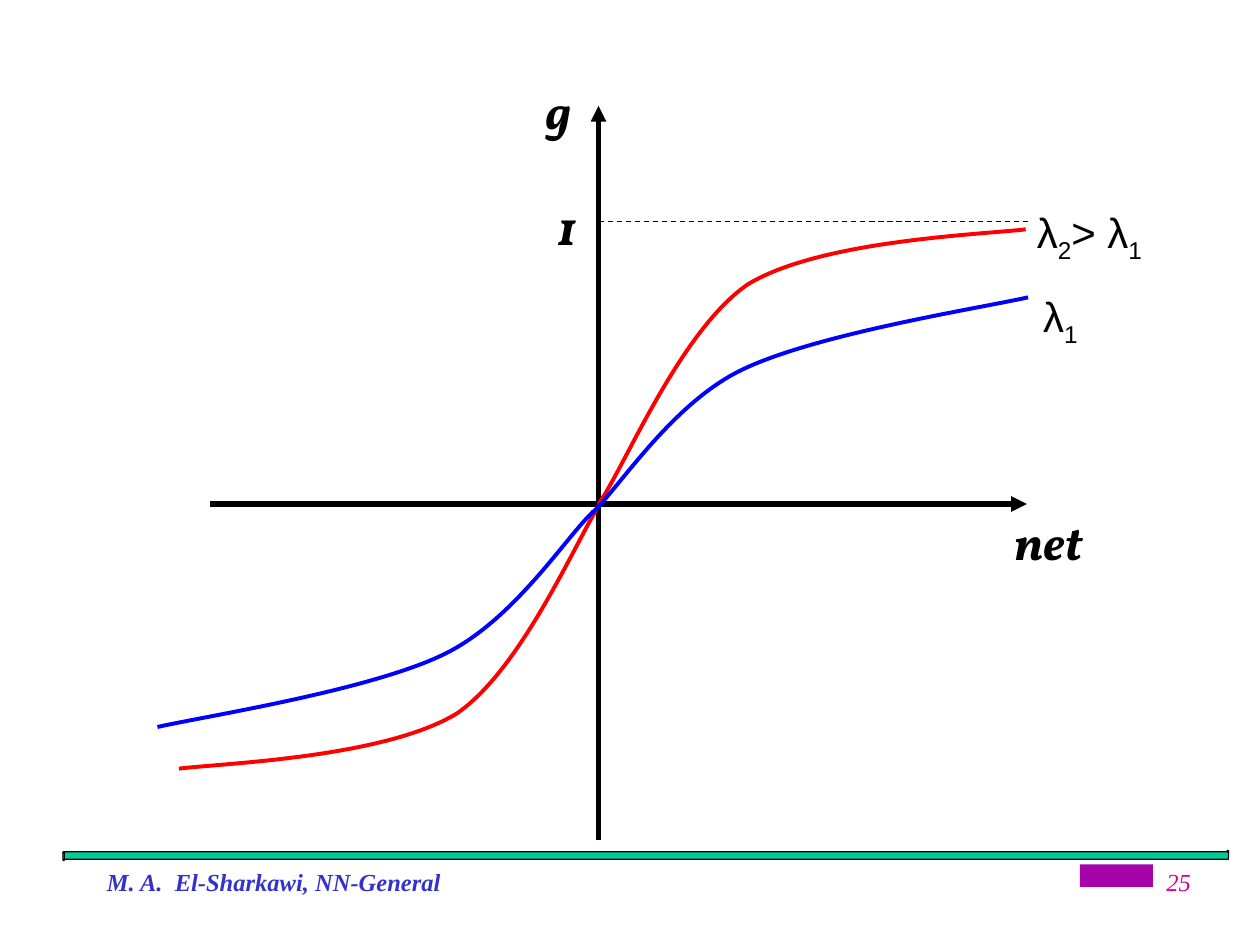
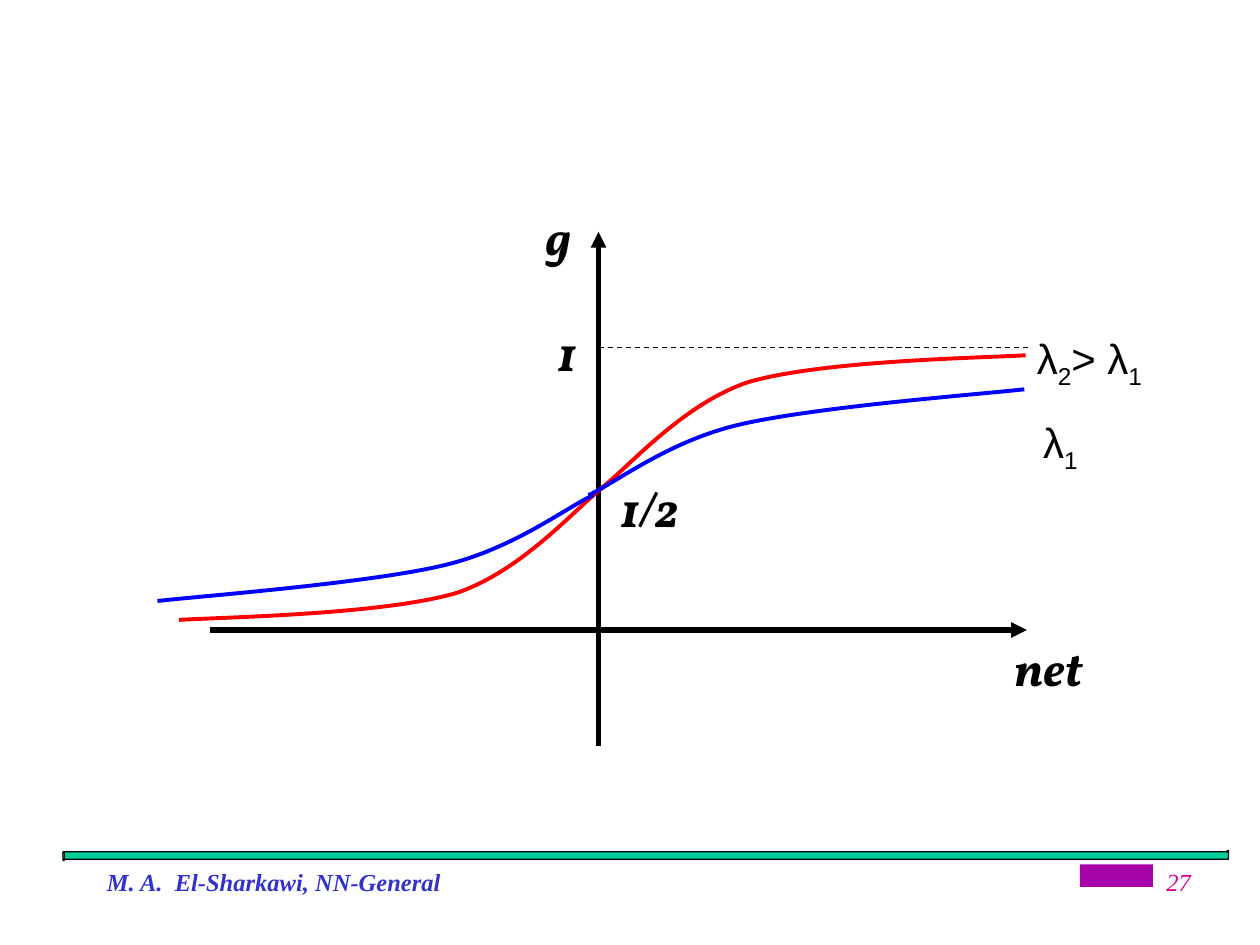
from dataclasses import dataclass

from lxml.etree import SubElement
from pptx import Presentation
from pptx.dml.color import RGBColor
from pptx.enum.dml import MSO_LINE
from pptx.enum.shapes import MSO_CONNECTOR, MSO_SHAPE
from pptx.enum.text import MSO_AUTO_SIZE, PP_ALIGN
from pptx.oxml.ns import qn
from pptx.util import Pt

PX = 9144  # EMU in one px, 100 px to the inch


@dataclass(frozen=True)
class Theme:
    black: str = "000000"
    band: str = "00CC99"
    mark: str = "A603AB"
    author: str = "3333CC"
    number: str = "D60093"
    steep: str = "FF0000"
    gentle: str = "0000FF"
    serif: str = "Times New Roman"
    sans: str = "Arial"
    axis_font: str = "Vollkorn"
    footer_size: int = 14
    label_size: int = 24
    axis_size: int = 28
    thin: float = 0.75
    curve: float = 2.25
    axis: float = 3


THEME = Theme()

# Bezier points of a right-hand branch: shares of its width from the outer
# end and of its height from the top.
STEEP = [(0, 0), (.11, .02), (.48, .04), (.65, .2), (.81, .37), (.94, .87), (1, 1)]
GENTLE = [(0, 0), (.11, .05), (.49, .17), (.66, .34), (.82, .5), (.94, .89), (1, 1)]


@dataclass(frozen=True)
class Plot:
    """A sigmoid plot; branch boxes and labels are relative to its top."""
    number: str
    top: int
    axis_bottom: int
    steep_boxes: tuple
    gentle_boxes: tuple
    extra_labels: tuple = ()


PLOTS = (
    Plot("25", 0, 667,
         ((475, 182, 339, 218), (142, 392, 339, 218)),
         ((470, 236, 346, 171), (125, 406, 346, 171))),
    Plot("27", 100, 492,
         ((475, 182, 339, 107), (142, 285, 339, 107)),
         ((467, 209, 346, 84), (125, 293, 346, 84)),
         (("1/2", (432, 275, 124, 56)),)),
)


def scaled(lengths):
    return [PX * length for length in lengths]


def style_line(line, color, width):
    line.color.rgb = RGBColor.from_string(color)
    line.width = Pt(width)


def add_text(page, box, runs, font, size, color, wrap=True, bold=False, italic=False):
    """Add one paragraph made of (text, is_subscript) runs and return it."""
    frame = page.shapes.add_textbox(*scaled(box)).text_frame
    frame.word_wrap = wrap
    paragraph = frame.paragraphs[0]
    for text, subscript in runs:
        span = paragraph.add_run()
        span.text = text
        if subscript:
            span.font._element.set("baseline", "-25000")
    # Some renderers do not pass the paragraph font on to its runs.
    for target in (paragraph, *paragraph.runs):
        target.font.name = font
        target.font.size = Pt(size)
        target.font.bold = bold
        target.font.italic = italic
        target.font.color.rgb = RGBColor.from_string(color)
    return paragraph


def add_axis_label(page, text, box):
    paragraph = add_text(page, box, [(text, False)], THEME.axis_font, THEME.axis_size,
                         THEME.black, wrap=False, bold=True, italic=True)
    paragraph.space_before = Pt(7)
    properties = paragraph._element.get_or_add_pPr()
    properties.set("marL", str(50 * PX))
    properties.set("indent", "0")
    paragraph._parent.auto_size = MSO_AUTO_SIZE.SHAPE_TO_FIT_TEXT


def add_curve_label(page, runs, box):
    paragraph = add_text(page, box, runs, THEME.sans, THEME.label_size,
                         THEME.black, wrap=False)
    paragraph._parent.auto_size = MSO_AUTO_SIZE.SHAPE_TO_FIT_TEXT


def add_line(page, start, end, width, arrow=False):
    connector = page.shapes.add_connector(MSO_CONNECTOR.STRAIGHT, *scaled(start + end))
    style_line(connector.line, THEME.black, width)
    SubElement(connector._element.spPr, qn("a:effectLst"))
    if arrow:
        SubElement(connector.line._get_or_add_ln(), qn("a:tailEnd"), type="triangle")
    return connector


def add_filled_shape(page, preset, box, color):
    shape = page.shapes.add_shape(preset, *scaled(box))
    shape.shadow.inherit = False
    shape.fill.solid()
    shape.fill.fore_color.rgb = RGBColor.from_string(color)
    return shape


def add_branch(page, box, shares, color, mirrored):
    """Draw half a sigmoid in box; the left half is the right one turned round."""
    left, top, width, height = box
    if mirrored:
        points = [(left + x * width, top + height - y * height) for x, y in shares]
    else:
        points = [(left + width - x * width, top + y * height) for x, y in shares]
    points = [(round(x * PX), round(y * PX)) for x, y in points]
    builder = page.shapes.build_freeform(*points[0])
    builder.add_line_segments(points[1:], close=False)
    branch = builder.convert_to_shape()
    branch.shadow.inherit = False
    branch.fill.background()
    style_line(branch.line, color, THEME.curve)
    segments = list(branch._element.iter(qn("a:lnTo")))
    outline = segments[0].getparent()
    for first in range(0, len(segments), 3):
        bezier = SubElement(outline, qn("a:cubicBezTo"))
        for segment in segments[first:first + 3]:
            bezier.append(segment[0])
            outline.remove(segment)


def add_footer(page, number):
    band = add_filled_shape(page, MSO_SHAPE.HORIZONTAL_SCROLL, (50, 675, 925, 8),
                            THEME.band)
    style_line(band.line, THEME.black, THEME.thin)
    mark = add_filled_shape(page, MSO_SHAPE.RECTANGLE, (857, 686, 58, 18), THEME.mark)
    mark.line.fill.background()

    add_text(page, (75, 683, 583, 50), [("M. A.  El-Sharkawi, NN-General", False)],
             THEME.serif, THEME.footer_size, THEME.author, bold=True, italic=True)
    page_number = add_text(page, (717, 683, 238, 50), [(number, False)], THEME.serif,
                           THEME.footer_size, THEME.number, italic=True)
    page_number.alignment = PP_ALIGN.RIGHT


def add_plot(page, plot):
    def placed(box):
        left, top, width, height = box
        return left, plot.top + top, width, height

    origin_x, origin_y = 475, plot.top + 400
    add_line(page, (167, origin_y), (815, origin_y), THEME.axis, arrow=True)
    add_line(page, (origin_x, plot.top + plot.axis_bottom),
             (origin_x, plot.top + 84), THEME.axis, arrow=True)
    limit = add_line(page, (origin_x, plot.top + 176), (817, plot.top + 176), THEME.thin)
    limit.line.dash_style = MSO_LINE.DASH

    for boxes, shares, color in ((plot.steep_boxes, STEEP, THEME.steep),
                                 (plot.gentle_boxes, GENTLE, THEME.gentle)):
        for box, mirrored in zip(boxes, (False, True)):
            add_branch(page, placed(box), shares, color, mirrored)

    axis_labels = (("net", (745, 401, 133, 56)), ("g", (373, 59, 92, 56)),
                   ("1", (382, 151, 92, 56)))
    for text, box in axis_labels + plot.extra_labels:
        add_axis_label(page, text, placed(box))
    add_curve_label(page, [("λ", False), ("1", True)], placed((818, 226, 48, 56)))
    add_curve_label(page, [("λ", False), ("2", True), ("> λ", False), ("1", True)],
                    placed((813, 159, 112, 56)))


def main():
    deck = Presentation()
    deck.slide_width, deck.slide_height = scaled((1000, 750))
    for plot in PLOTS:
        page = deck.slides.add_slide(deck.slide_layouts[6])
        add_footer(page, plot.number)
        add_plot(page, plot)
    deck.save("out.pptx")


if __name__ == "__main__":
    main()
